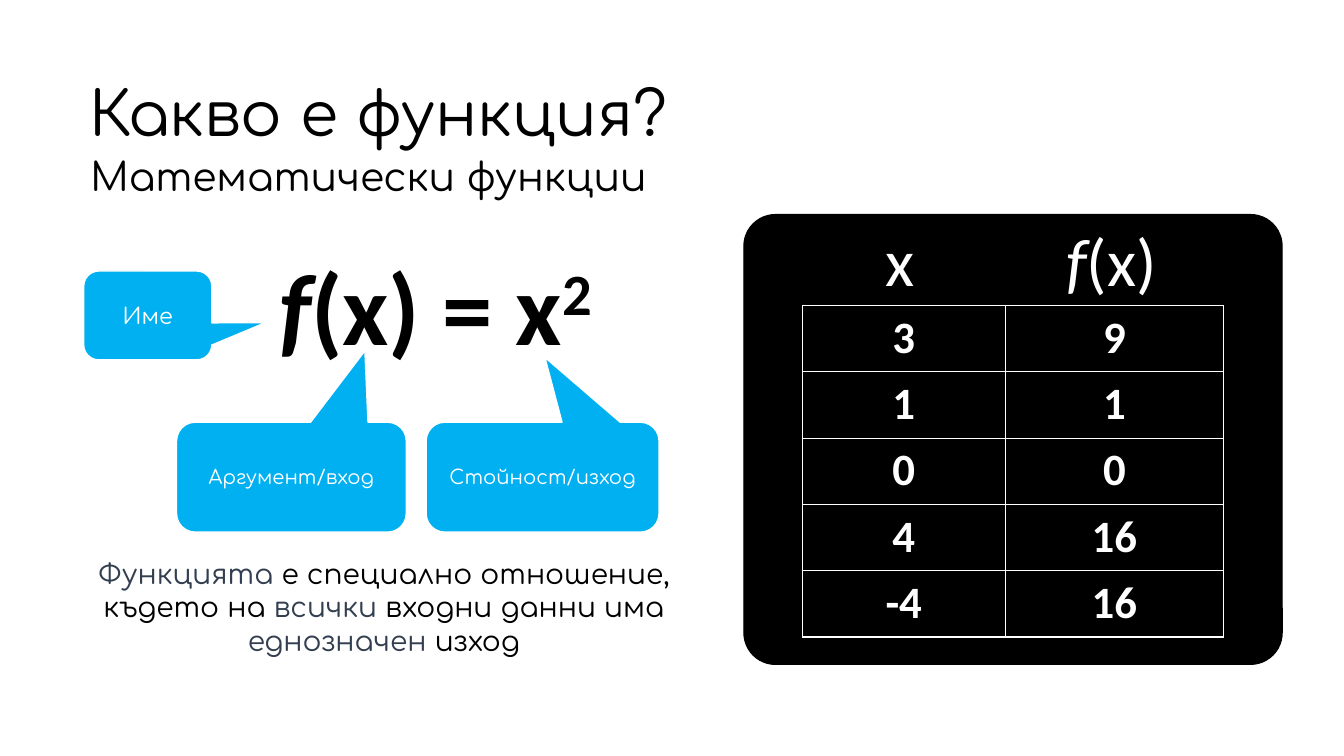
from lxml.etree import SubElement
from pptx import Presentation
from pptx.dml.color import RGBColor
from pptx.enum.shapes import MSO_SHAPE
from pptx.enum.text import MSO_ANCHOR, PP_ALIGN
from pptx.oxml import parse_xml
from pptx.oxml.ns import nsdecls, qn
from pptx.util import Cm, Pt

SANS = "Calibri"
ROUND = "Comfortaa"
BLACK = "000000"
WHITE = "FFFFFF"
SLATE = "333F50"
BLUE = "00B0F0"
ROWS = [(3, 9), (1, 1), (0, 0), (4, 16), (-4, 16)]


def tint(code):
    return RGBColor.from_string(code)


def style(run, face, size, color, bold=False, italic=False):
    font = run.font
    font.name, font.size = face, Pt(size)
    font.bold, font.italic = bold, italic
    font.color.rgb = tint(color)


def label(slide, box, parts, face, size, color=BLACK,
          align=PP_ALIGN.CENTER, bold=False, wrap=True):
    frame = slide.shapes.add_textbox(*map(Cm, box)).text_frame
    frame.word_wrap = wrap
    para = frame.paragraphs[0]
    para.alignment = align
    for text, look in parts:
        run = para.add_run()
        run.text = text
        style(run, face, size, look.get("color", color), bold,
              look.get("italic", False))
    return frame


def heading(slide, box, text, size, anchor):
    frame = label(slide, box, [(text, {})], ROUND, size, align=PP_ALIGN.LEFT)
    frame.vertical_anchor = anchor
    frame.paragraphs[0].line_spacing = 0.9


def block(slide, kind, box, adjust, fill, line):
    shape = slide.shapes.add_shape(kind, *map(Cm, box))
    shape.shadow.inherit = False
    for index, value in enumerate(adjust):
        shape.adjustments[index] = value
    shape.fill.solid()
    shape.fill.fore_color.rgb = tint(fill)
    shape.line.color.rgb = tint(line)
    shape.line.width = Pt(1)
    return shape


def callout(slide, box, tip, text, size):
    shape = block(slide, MSO_SHAPE.ROUNDED_RECTANGULAR_CALLOUT, box,
                  (*tip, 0.17), BLUE, WHITE)
    frame = shape.text_frame
    frame.text = text
    frame.word_wrap = True
    frame.vertical_anchor = MSO_ANCHOR.MIDDLE
    para = frame.paragraphs[0]
    para.alignment = PP_ALIGN.CENTER
    style(para.runs[0], ROUND, size, WHITE)


def formula(slide):
    parts = [("f", {"italic": True}), ("(x) = x", {}), ("2", {})]
    frame = label(slide, (6.68, 6.05, 8.59, 3.33), parts, SANS, 72,
                  bold=True, wrap=False)
    runs = frame.paragraphs[0].runs
    for run in runs:
        edge = parse_xml(
            f'<a:ln {nsdecls("a")} w="{Pt(0.75)}"><a:solidFill>'
            f'<a:srgbClr val="{WHITE}"/></a:solidFill></a:ln>')
        run.font._element.insert(0, edge)
    runs[-1].font._element.set("baseline", "30000")


def border(cell):
    props = cell._tc.get_or_add_tcPr()
    for index, side in enumerate(("lnL", "lnR", "lnT", "lnB")):
        line = parse_xml(
            f'<a:{side} {nsdecls("a")} w="{Pt(1)}"/>')
        fill = SubElement(line, qn("a:solidFill"))
        SubElement(fill, qn("a:srgbClr"), val=WHITE)
        props.insert(index, line)


def values(slide):
    box = map(Cm, (20.22, 7.7, 10.62, 8.35))
    table = slide.shapes.add_table(len(ROWS), 2, *box).table
    table.first_row = table.horz_banding = False
    for column, width in zip(table.columns, (5.11, 5.51)):
        column.width = Cm(width)
    for row, pair in enumerate(ROWS):
        for column, value in enumerate(pair):
            cell = table.cell(row, column)
            cell.fill.background()
            border(cell)
            cell.text_frame.text = str(value)
            para = cell.text_frame.paragraphs[0]
            para.alignment = PP_ALIGN.CENTER
            style(para.runs[0], SANS, 32, WHITE, bold=True)


def main():
    deck = Presentation()
    deck.slide_width, deck.slide_height = Cm(33.87), Cm(19.05)
    slide = deck.slides.add_slide(deck.slide_layouts[6])

    heading(slide, (2.03, 3.86, 16.56, 1.65), "Математически функции", 28,
            MSO_ANCHOR.TOP)
    heading(slide, (2.01, 1.68, 29.21, 2.54), "Какво е функция?", 44,
            MSO_ANCHOR.MIDDLE)

    formula(slide)
    callout(slide, (2.11, 6.83, 3.23, 2.24), (0.92, 0.08), "Име", 16)
    callout(slide, (4.45, 10.64, 5.79, 2.77), (0.32, -1.15),
            "Аргумент/вход", 14)
    callout(slide, (10.74, 10.64, 5.87, 2.77), (0.01, -1.09),
            "Стойност/изход", 14)

    block(slide, MSO_SHAPE.ROUNDED_RECTANGLE, (18.75, 5.41, 13.56, 11.33),
          (0.07,), BLACK, BLACK)
    values(slide)
    label(slide, (20.8, 5.41, 3.78, 2.31), [("x", {})], SANS, 48, WHITE)
    label(slide, (25.96, 5.41, 4.11, 2.31),
          [("f", {"italic": True}), ("(x)", {})], SANS, 48, WHITE)

    accent = {"color": SLATE}
    label(slide, (1.75, 13.89, 15.85, 2.82), [
        ("Функцията ", accent),
        ("е специално отношение, където на ", {}),
        ("всички ", accent),
        ("входни данни има ", {}),
        ("еднозначен ", accent),
        ("изход", {}),
    ], ROUND, 20)

    deck.save("out.pptx")


if __name__ == "__main__":
    main()
